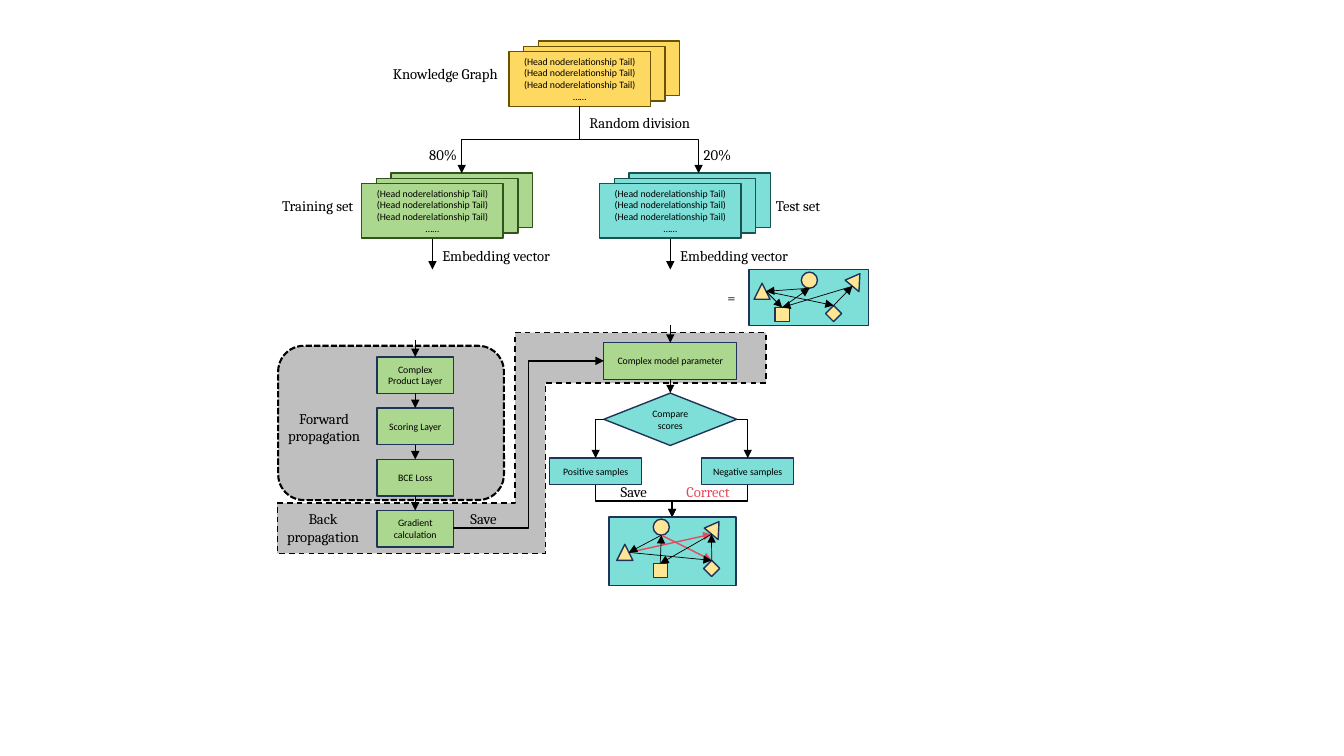
from lxml import etree
from pptx import Presentation
from pptx.dml.color import RGBColor
from pptx.enum.dml import MSO_LINE
from pptx.enum.shapes import MSO_CONNECTOR, MSO_SHAPE
from pptx.enum.text import MSO_ANCHOR, MSO_AUTO_SIZE, PP_ALIGN
from pptx.oxml.ns import qn
from pptx.util import Pt

BLACK = RGBColor(0x00, 0x00, 0x00)
RED = RGBColor(0xE5, 0x4C, 0x5E)
NAVY = RGBColor(0x20, 0x33, 0x59)
YELLOW = RGBColor(0xFE, 0xD9, 0x61)
BROWN = RGBColor(0x6A, 0x52, 0x01)
GREEN = RGBColor(0xAC, 0xD7, 0x8E)
DARK_GREEN = RGBColor(0x33, 0x53, 0x1D)
TEAL = RGBColor(0x7D, 0xDF, 0xD7)
DARK_TEAL = RGBColor(0x15, 0x54, 0x4F)
CREAM = RGBColor(0xFE, 0xE6, 0x95)

prs = Presentation()
prs.slide_width, prs.slide_height = Pt(960), Pt(540)
shapes = prs.slides.add_slide(prs.slide_layouts[6]).shapes


def box(kind, x, y, w, h, fill, line=NAVY, lines=()):
    """Draw a filled shape with optional centred 7 pt lines of text."""
    sp = shapes.add_shape(kind, Pt(x), Pt(y), Pt(w), Pt(h))
    sp.shadow.inherit = False
    sp.fill.solid()
    sp.fill.fore_color.rgb = fill
    sp.line.color.rgb = line
    sp.line.width = Pt(1)
    tf = sp.text_frame
    tf.vertical_anchor = MSO_ANCHOR.MIDDLE
    for i, words in enumerate(lines):
        p = tf.add_paragraph() if i else tf.paragraphs[0]
        p.text = words
        p.alignment = PP_ALIGN.CENTER
        p.font.size, p.font.name, p.font.color.rgb = Pt(7), "Calibri", BLACK
    return sp


def arrow(start, end, bend="", vertical=False, color=BLACK, width=1):
    """Draw an arrow; vertical makes a bent one leave downwards by a quarter turn."""
    (x1, y1), (x2, y2) = start, end
    if vertical:
        cx, cy, dx, dy = (x1 + x2) / 2, (y1 + y2) / 2, x2 - x1, y2 - y1
        x1, y1, x2, y2 = cx - dy / 2, cy + dx / 2, cx + dy / 2, cy - dx / 2
    kind = MSO_CONNECTOR.ELBOW if bend else MSO_CONNECTOR.STRAIGHT
    cxn = shapes.add_connector(kind, Pt(x1), Pt(y1), Pt(x2), Pt(y2))
    cxn.line.color.rgb = color
    cxn.line.width = Pt(width)
    pr = cxn.element.spPr
    if bend:
        pr.find(qn("a:prstGeom")).set("prst", bend)
    if vertical:
        pr.find(qn("a:xfrm")).set("rot", "5400000")
    etree.SubElement(pr.find(qn("a:ln")), qn("a:tailEnd")).set("type", "triangle")
    etree.SubElement(pr, qn("a:effectLst"))


# Shaded propagation areas
outline = [(368, 237.6), (547.2, 237.6), (547.2, 273.6), (389.5, 273.6),
           (389.5, 395.3), (198, 395.3), (198, 359.3), (368, 359.3)]
corners = [(Pt(x), Pt(y)) for x, y in outline]
builder = shapes.build_freeform(*corners[0], scale=1.0)
builder.add_line_segments(corners[1:], close=True)
back_area = builder.convert_to_shape()
forward_area = shapes.add_shape(MSO_SHAPE.ROUNDED_RECTANGLE,
                                Pt(198.7), Pt(247), Pt(161.3), Pt(110.2))
for sp, dash, width in [(back_area, MSO_LINE.DASH, 1),
                        (forward_area, MSO_LINE.SQUARE_DOT, 1.5)]:
    sp.shadow.inherit = False
    sp.fill.solid()
    sp.fill.fore_color.rgb = BLACK
    clr = sp.element.spPr.find(qn("a:solidFill")).find(qn("a:srgbClr"))
    etree.SubElement(clr, qn("a:alpha")).set("val", "25000")
    sp.line.color.rgb = BLACK
    sp.line.width = Pt(width)
    sp.line.dash_style = dash

# Stacks of triples, back sheet first
triples = ["(Head noderelationship Tail)"] * 3 + ["……"]
for x, y, fill, line in [(363.6, 36.9, YELLOW, BROWN),
                         (258.4, 131.2, GREEN, DARK_GREEN),
                         (428.3, 131.2, TEAL, DARK_TEAL)]:
    for depth in (2, 1, 0):
        box(MSO_SHAPE.RECTANGLE, x + 10.5 * depth, y - 3.8 * depth, 101, 39,
            fill, line, () if depth else triples)

# Split and embedding arrows
for x in (329.8, 499):
    arrow((414, 75.6), (x, 123.8), "bentConnector3", True)
for x in (308.9, 478.8):
    arrow((x, 170.6), (x, 192.5))

# Training column
layers = ["Complex Product Layer", "Scoring Layer", "BCE Loss", "Gradient calculation"]
for i, layer in enumerate(layers):
    y = 254.9 + 36.6 * i
    box(MSO_SHAPE.RECTANGLE, 269.3, y, 54.7, 26.1, GREEN, lines=[layer])
    arrow((296.6, y - (10.5 if i else 12.2)), (296.6, y))

# Test column
box(MSO_SHAPE.RECTANGLE, 431.3, 244.8, 95, 26.1, GREEN, lines=["Complex model parameter"])
arrow((323.6, 377.3), (431.3, 257.8), "bentConnector3")
arrow((478.8, 231.8), (478.8, 244.8))
box(MSO_SHAPE.DIAMOND, 431.3, 280.8, 95, 37.4, TEAL, lines=["Compare scores"])
arrow((478.8, 270.9), (478.8, 280.8))
for x, side, sample in [(392.6, 431.3, "Positive samples"), (501.2, 526.3, "Negative samples")]:
    middle = x + 32.9
    box(MSO_SHAPE.RECTANGLE, x, 327.2, 65.8, 18.9, TEAL, lines=[sample])
    arrow((side, 299.5), (middle, 327.2), "bentConnector2")
    arrow((middle, 346.1), (480.1, 369.4), "bentConnector3", True)

# Entity graphs: node -> preset, size, anchor of its edges
node_kinds = {
    "circle": (MSO_SHAPE.OVAL, 11.5, (5.8, 11.5)),
    "triangle": (MSO_SHAPE.ISOSCELES_TRIANGLE, 11.5, (8.6, 5.8)),
    "diamond": (MSO_SHAPE.DIAMOND, 11.5, (5.8, 0)),
    "merge": (MSO_SHAPE.FLOWCHART_MERGE, 11.5, (3.3, 7.2)),
    "square": (MSO_SHAPE.RECTANGLE, 10.1, (5, 0)),
}
shared_edges = [("circle", "triangle", BLACK), ("diamond", "merge", BLACK),
                ("triangle", "diamond", BLACK), ("square", "circle", BLACK),
                ("merge", "square", BLACK)]
graphs = [
    ((434.9, 369.4, 90.9, 48.8),
     {"circle": (466.6, 370.8), "triangle": (440.6, 388.8), "diamond": (502.6, 400.3),
      "merge": (504.9, 374.4), "square": (466.6, 402.5)},
     [("circle", "diamond", RED), ("triangle", "merge", RED)]),
    ((535, 192.4, 85.2, 40.2),
     {"circle": (572.4, 194.4), "triangle": (538.6, 202.3), "diamond": (589.7, 218.2),
      "merge": (605.5, 197.3), "square": (553.7, 219.6)},
     [("triangle", "square", BLACK)]),
]
for panel, nodes, extra_edges in graphs:
    box(MSO_SHAPE.RECTANGLE, *panel, TEAL)
    anchors = {}
    for name, (x, y) in nodes.items():
        kind, size, (dx, dy) = node_kinds[name]
        sp = box(kind, x, y, size, size, CREAM)
        if name == "merge":
            sp.rotation = 336.3
        anchors[name] = (x + dx, y + dy)
    for tail, head, color in extra_edges + shared_edges:
        arrow(anchors[tail], anchors[head], color=color, width=1 if color == RED else 0.5)

# Labels: text, left, top, width, height, wrap, alignment
LEFT, CENTER = PP_ALIGN.LEFT, PP_ALIGN.CENTER
labels = [
    ("Knowledge Graph", 273.6, 42.5, 100.8, 20, True, LEFT),
    ("Random division", 414, 78, 100.8, 20, True, LEFT),
    ("80%", 299.5, 100.3, 38.9, 20, True, LEFT),
    ("20%", 495.6, 100.6, 38.9, 20, True, LEFT),
    ("Training set", 194.4, 137, 69.1, 20, False, LEFT),
    ("Test set", 547.2, 137, 49.7, 20, False, LEFT),
    ("Embedding vector", 308.9, 173, 102.2, 20, True, LEFT),
    ("Embedding vector", 478.8, 173, 102.2, 20, True, LEFT),
    ("Save", 329, 361, 45.4, 20, True, LEFT),
    ("Save", 436.3, 341.3, 40.3, 20, True, LEFT),
    ("Correct", 483.1, 341.3, 49, 20, True, LEFT),
    ("Forward propagation", 190.1, 289, 82.8, 32.4, True, CENTER),
    ("Back propagation", 195.1, 360.7, 71.3, 32.4, True, CENTER),
    ("=", 516.6, 202.5, 10.1, 20, False, CENTER),
]
for words, x, y, w, h, wrap, align in labels:
    tf = shapes.add_textbox(Pt(x), Pt(y), Pt(w), Pt(h)).text_frame
    tf.word_wrap = wrap
    tf.auto_size = MSO_AUTO_SIZE.SHAPE_TO_FIT_TEXT
    p = tf.paragraphs[0]
    p.text = words
    p.alignment = align
    p.font.size, p.font.name = Pt(10.5), "Cambria"
    p.font.color.rgb = RED if words == "Correct" else BLACK

prs.save("out.pptx")
